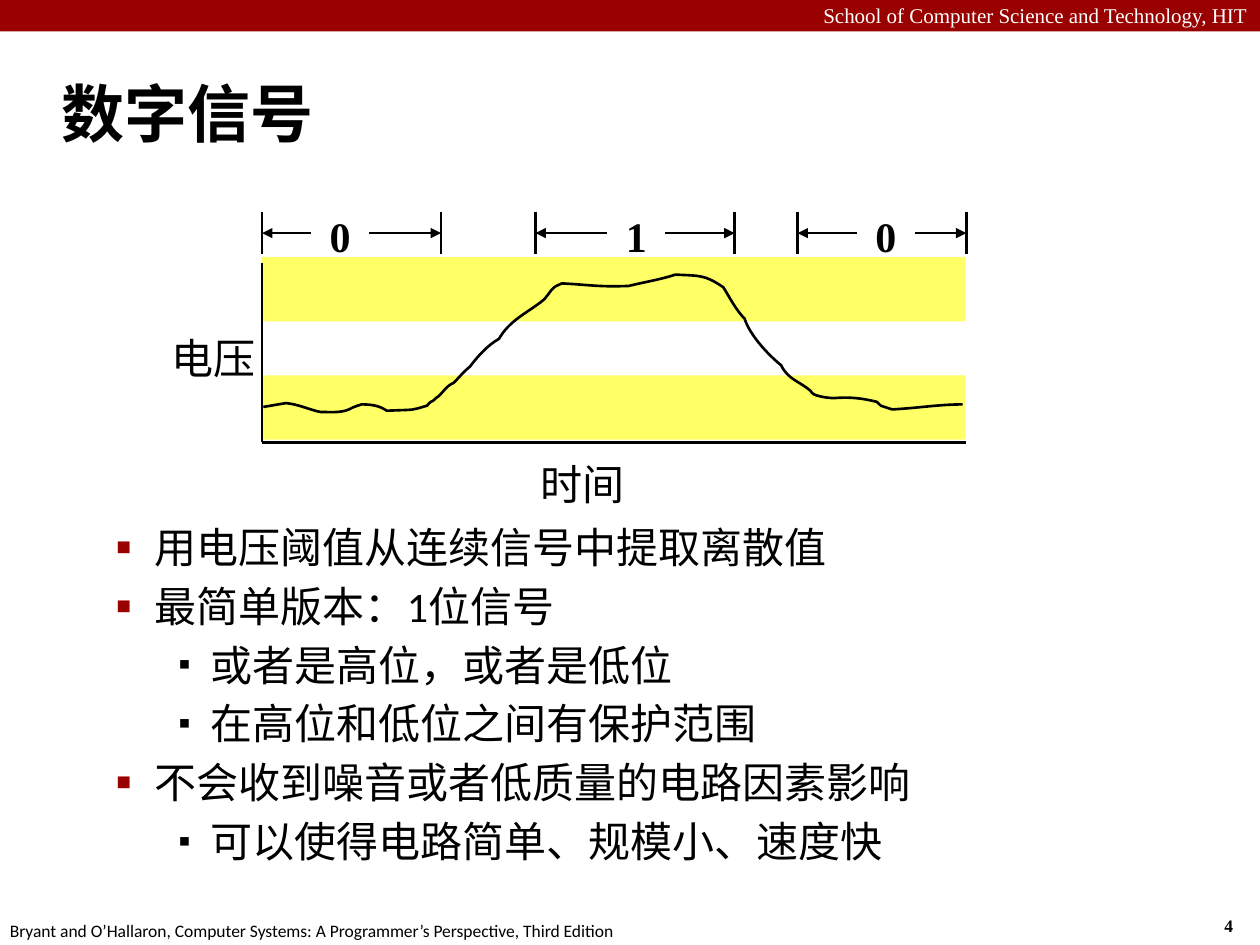
import pptx
import pptx.util
import pptx.dml.color
import pptx.enum.text
import pptx.enum.shapes
import pptx.oxml
import pptx.oxml.ns
from lxml import etree

Inches = pptx.util.Inches
Pt = pptx.util.Pt
ALIGN = pptx.enum.text.PP_ALIGN
RECT = pptx.enum.shapes.MSO_SHAPE.RECTANGLE
COLORS = {"red": "990000", "band": "FFFF66", "ink": "000000", "white": "FFFFFF"}
SERIF, SANS, HAN = "Times New Roman", "Calibri", "Noto Sans CJK SC"

LABELS = [
    ("School of Computer Science and Technology, HIT",
     (0, -0.03, 10, 0.3), 12, SERIF, "white", False, ALIGN.RIGHT, 0.1),
    ("4", (9.62, 7.21, 0.37, 0.27), 10, SERIF, "ink", True, ALIGN.LEFT, 0.1),
    ("Bryant and O’Hallaron, Computer Systems: A Programmer’s Perspective, Third Edition",
     (-0.02, 7.25, 5.08, 0.27), 10, SANS, "ink", False, ALIGN.LEFT, 0.1),
    ("电压", (1.31, 2.59, 0.77, 0.51), 24, HAN, "ink", False, ALIGN.RIGHT, 0.05),
    ("时间", (4.24, 3.59, 0.8, 0.51), 24, HAN, "ink", False, ALIGN.LEFT, 0.05),
]
TITLE = "数字信号"
POINTS = [
    (1, "用电压阈值从连续信号中提取离散值"),
    (1, "最简单版本：1位信号"),
    (2, "或者是高位，或者是低位"),
    (2, "在高位和低位之间有保护范围"),
    (1, "不会收到噪音或者低质量的电路因素影响"),
    (2, "可以使得电路简单、规模小、速度快"),
]
LEVELS = {1: (0.81, -0.31, 110, "red"), 2: (1.25, -0.25, 80, "ink")}
BITS = [("0", 2.08, 3.5, 2.48), ("1", 4.25, 5.83, 4.83), ("0", 6.33, 7.67, 6.81)]
START = (2.09, 3.23)
CURVES = [
    (2.15, 3.22, 2.21, 3.21, 2.27, 3.2), (2.37, 3.21, 2.45, 3.25, 2.54, 3.27),
    (2.61, 3.27, 2.7, 3.28, 2.77, 3.25), (2.8, 3.23, 2.87, 3.21, 2.87, 3.21),
    (2.95, 3.21, 3.01, 3.22, 3.07, 3.26), (3.32, 3.25, 3.25, 3.26, 3.39, 3.22),
    (3.4, 3.21, 3.41, 3.19, 3.42, 3.19), (3.43, 3.18, 3.45, 3.18, 3.46, 3.16),
    (3.51, 3.13, 3.54, 3.06, 3.6, 3.04), (3.64, 3, 3.68, 2.95, 3.73, 2.91),
    (3.79, 2.83, 3.87, 2.74, 3.96, 2.69), (4.04, 2.55, 4.17, 2.49, 4.29, 2.4),
    (4.34, 2.37, 4.36, 2.31, 4.4, 2.28), (4.41, 2.27, 4.44, 2.26, 4.46, 2.25),
    (4.67, 2.26, 4.75, 2.28, 4.99, 2.27), (5.11, 2.24, 5.24, 2.22, 5.36, 2.18),
    (5.56, 2.19, 5.59, 2.18, 5.74, 2.28), (5.79, 2.36, 5.84, 2.46, 5.91, 2.53),
    (5.95, 2.66, 6.1, 2.82, 6.2, 2.9), (6.25, 3.01, 6.35, 3.03, 6.43, 3.1),
    (6.44, 3.11, 6.45, 3.13, 6.46, 3.13), (6.5, 3.15, 6.58, 3.16, 6.62, 3.16),
    (6.74, 3.15, 6.84, 3.16, 6.96, 3.19), (6.97, 3.2, 6.98, 3.21, 6.99, 3.22),
    (7.02, 3.23, 7.08, 3.25, 7.08, 3.25), (7.28, 3.24, 7.45, 3.21, 7.64, 3.21),
]


def color(name):
    return pptx.dml.color.RGBColor.from_string(COLORS[name])


def add_tag(parent, tag, **attrs):
    node = etree.SubElement(parent, pptx.oxml.ns.qn("a:" + tag))
    for key, value in attrs.items():
        node.set(key, str(value))
    return node


def style(para, size, font, ink="ink", bold=False, align=ALIGN.LEFT):
    para.alignment = align
    para.font.size, para.font.name, para.font.bold = Pt(size), font, bold
    para.font.color.rgb = color(ink)


def indent(para, left, first):
    props = para._p.get_or_add_pPr()
    props.set("marL", str(Inches(left)))
    props.set("indent", str(Inches(first)))
    return props


def inset(frame, side):
    frame.margin_left = frame.margin_right = Inches(side)
    frame.margin_top = frame.margin_bottom = Inches(0.05)


def add_box(shapes, box, wrap=True):
    frame = shapes.add_textbox(*map(Inches, box)).text_frame
    frame.word_wrap = wrap
    return frame


def add_rect(shapes, box, fill):
    rect = shapes.add_shape(RECT, *map(Inches, box))
    rect.shadow.inherit = False
    rect.fill.solid()
    rect.fill.fore_color.rgb = color(fill)
    rect.line.fill.background()
    return rect


def add_line(shapes, x1, y1, x2, y2, arrows=False):
    line = shapes.add_connector(
        pptx.enum.shapes.MSO_CONNECTOR.STRAIGHT, *map(Inches, (x1, y1, x2, y2)))
    line.line.color.rgb = color("ink")
    line.line.width = Pt(1.5)
    if arrows:
        for tag in ("headEnd", "tailEnd"):
            add_tag(line.line._get_or_add_ln(), tag, type="triangle")
    add_tag(line._element.spPr, "effectLst")


def bend(shape):
    legs = list(shape._element.iter(pptx.oxml.ns.qn("a:lnTo")))
    track = legs[0].getparent()
    for i in range(0, len(legs), 3):
        curve = add_tag(track, "cubicBezTo")
        for leg in legs[i:i + 3]:
            curve.append(leg[0])
            track.remove(leg)


def add_wave(shapes):
    pen = shapes.build_freeform(*map(Inches, START))
    knots = [(Inches(c[i]), Inches(c[i + 1])) for c in CURVES for i in (0, 2, 4)]
    pen.add_line_segments(knots, close=False)
    wave = pen.convert_to_shape()
    bend(wave)
    wave.shadow.inherit = False
    wave.fill.background()
    wave.line.color.rgb = color("ink")
    wave.line.width = Pt(1.5)


def add_signal(shapes):
    for top in (2.04, 2.98):
        add_rect(shapes, (2.08, top, 5.58, 0.51), "band")
    add_line(shapes, 2.08, 3.51, 2.08, 2.09)
    add_line(shapes, 2.08, 3.51, 7.67, 3.51)
    add_wave(shapes)
    for bit, left, right, box in BITS:
        for x in (left, right):
            add_line(shapes, x, 1.68, x, 2.02)
        add_line(shapes, left, 1.85, right, 1.85, True)
        rect = add_rect(shapes, (box, 1.62, 0.44, 0.39), "white")
        rect.line.color.rgb = color("white")
        rect.line.width = Pt(1.5)
        frame = rect.text_frame
        frame.vertical_anchor = pptx.enum.text.MSO_ANCHOR.TOP
        inset(frame, 0.05)
        frame.text = bit
        style(frame.paragraphs[0], 24, SERIF, bold=True, align=ALIGN.CENTER)


def add_points(shapes):
    frame = add_box(shapes, (0.32, 4.09, 9.08, 2.96))
    for row, (level, text) in enumerate(POINTS):
        para = frame.add_paragraph() if row else frame.paragraphs[0]
        para.text = text
        para.level = level
        style(para, 24, SANS)
        para.space_before = Pt(4.8)
        left, first, size, ink = LEVELS[level]
        props = indent(para, left, first)
        mark = [add_tag(props, "buClr"), add_tag(props, "buSzPct", val=size * 1000),
                add_tag(props, "buFont", typeface=SANS), add_tag(props, "buChar", char="▪")]
        add_tag(mark[0], "srgbClr", val=COLORS[ink])
        props.extend(mark + props.findall(pptx.oxml.ns.qn("a:defRPr")))


def main():
    deck = pptx.Presentation()
    deck.slide_width, deck.slide_height = Inches(10), Inches(7.5)
    shapes = deck.slides.add_slide(deck.slide_layouts[6]).shapes
    add_rect(shapes, (0, 0, 10, 0.25), "red")
    for text, box, size, font, ink, bold, align, side in LABELS:
        frame = add_box(shapes, box, wrap=box[2] == 10)
        inset(frame, side)
        frame.text = text
        style(frame.paragraphs[0], size, font, ink, bold, align)
    frame = add_box(shapes, (0.39, 0.48, 9.61, 0.83))
    frame.vertical_anchor = pptx.enum.text.MSO_ANCHOR.MIDDLE
    frame.text = TITLE
    style(frame.paragraphs[0], 36, SANS, bold=True)
    indent(frame.paragraphs[0], 0.13, -0.13)
    add_points(shapes)
    add_signal(shapes)
    deck.save("out.pptx")


if __name__ == "__main__":
    main()
